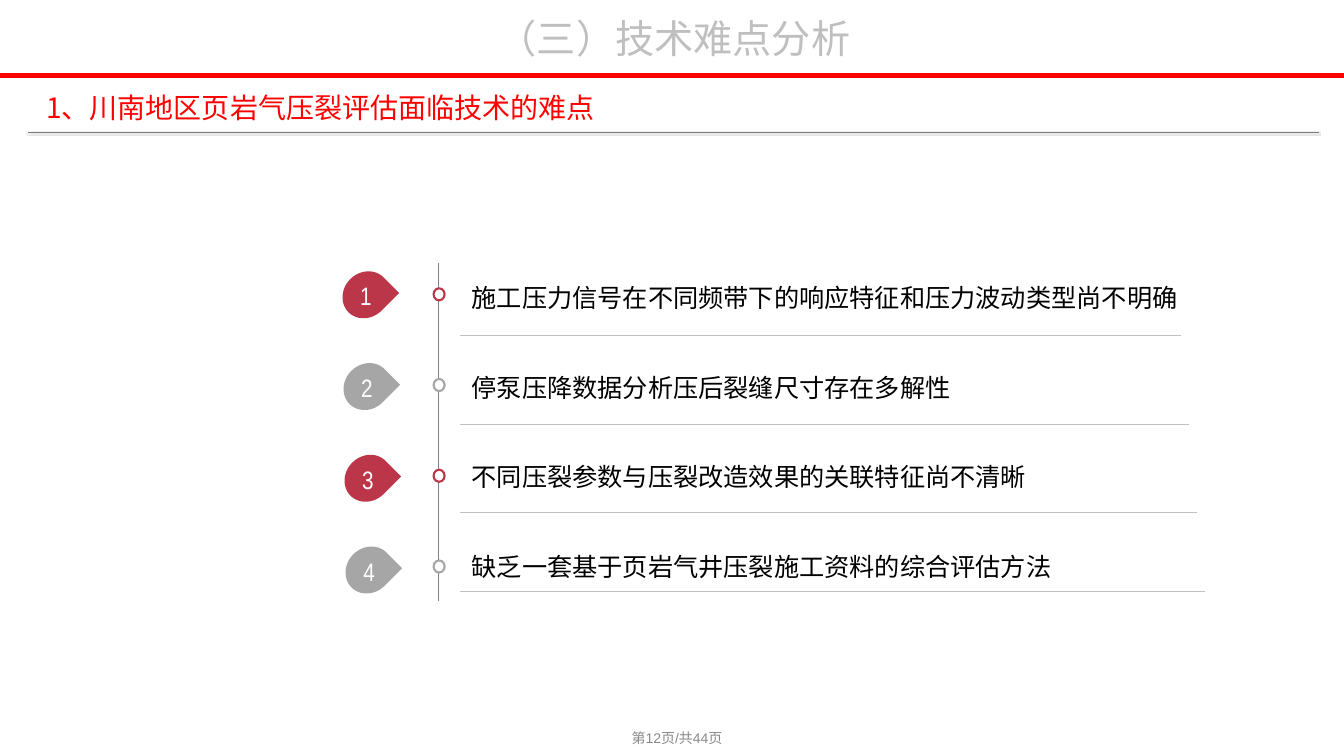
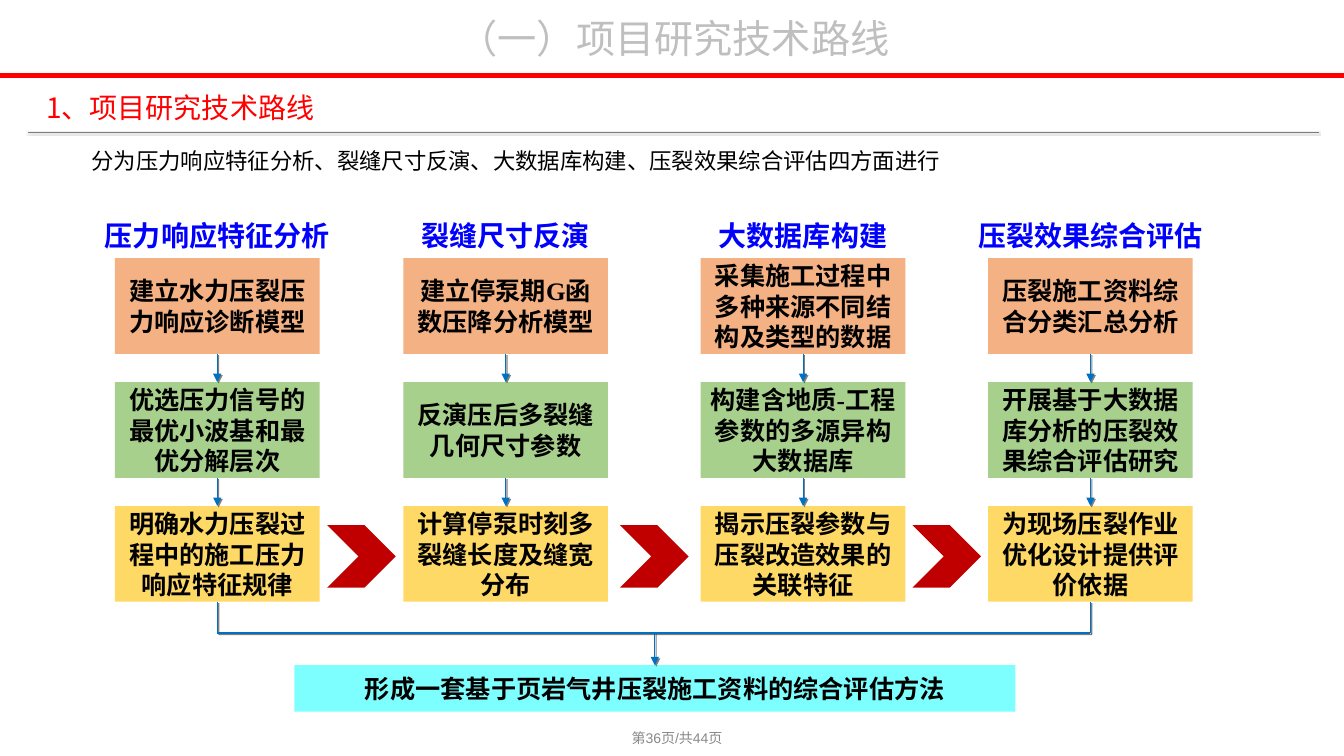
from lxml import etree
from pptx import Presentation
from pptx.dml.color import RGBColor
from pptx.enum.shapes import MSO_CONNECTOR, MSO_SHAPE
from pptx.enum.text import MSO_ANCHOR, MSO_AUTO_SIZE, PP_ALIGN
from pptx.oxml.ns import qn
from pptx.util import Inches, Pt

RECT, OVAL = MSO_SHAPE.RECTANGLE, MSO_SHAPE.OVAL
DROP, CHEVRON = MSO_SHAPE.TEAR, MSO_SHAPE.CHEVRON
TOP, MIDDLE = MSO_ANCHOR.TOP, MSO_ANCHOR.MIDDLE
LEFT, CENTER, JUSTIFY = PP_ALIGN.LEFT, PP_ALIGN.CENTER, PP_ALIGN.JUSTIFY
SIDE_TOP, SIDE_BOTTOM = 0, 2

COLORS = {
    "red": "FF0000", "title": "BFBFBF", "footer": "898989", "rule": "7C7C7C",
    "rule_shadow": "D9D9D9", "axis": "768395", "crimson": "BC3649", "gray": "A6A6A6",
    "white": "FFFFFF", "black": "000000", "heading": "0000FF", "flow": "0070C0",
    "chevron": "C00000", "orange": "F4B183", "green": "A8D08D", "yellow": "FFD965",
    "cyan": "7EFFFF",
}
HAN, SERIF = "Noto Sans CJK SC", "Times New Roman"
WIDTH, HEIGHT = 13.33, 7.5
RULE_SHADOW = ("rule_shadow", 100, 1, 1, 90)
FLOW_SHADOW = ("black", 50, 0, 1.4, 45)


def add_box(slide, at, text="", size=18, font=HAN, color="black", bold=False, align=LEFT,
            anchor=TOP, spacing=None, grow=True, wrap=True, preset=None, fill=None, outline=None):
    """Add a text box, or a preset shape when one is named, with optional text."""
    place = [Inches(length) for length in at]
    if preset is None:
        box = slide.shapes.add_textbox(*place)
    else:
        box = slide.shapes.add_shape(preset, *place)
        box.shadow.inherit = False
        box.fill.solid()
        box.fill.fore_color.rgb = RGBColor.from_string(COLORS[fill])
        if outline:
            box.line.color.rgb = RGBColor.from_string(COLORS[outline])
            box.line.width = Pt(1.5)
        else:
            box.line.fill.background()
    if text:
        frame = box.text_frame
        frame.word_wrap = wrap
        frame.vertical_anchor = anchor
        frame.auto_size = MSO_AUTO_SIZE.SHAPE_TO_FIT_TEXT if grow else MSO_AUTO_SIZE.NONE
        paragraph = frame.paragraphs[0]
        paragraph.alignment = align
        if spacing:
            paragraph.line_spacing = spacing
        run = paragraph.add_run()
        run.text = text
        run.font.name, run.font.size, run.font.bold = font, Pt(size), bold
        run.font.color.rgb = RGBColor.from_string(COLORS[color])
        east_asian = etree.SubElement(run.font._element, qn("a:ea"))
        east_asian.set("typeface", HAN)
    return box


def add_line(slide, start, end, color, width, shadow=None, arrow=False):
    """Shadow is (colour, opacity %, blur pt, distance pt, angle)."""
    line = slide.shapes.add_connector(
        MSO_CONNECTOR.STRAIGHT, *[Inches(length) for length in (*start, *end)])
    line.line.color.rgb = RGBColor.from_string(COLORS[color])
    line.line.width = Pt(width)
    properties = line._element.spPr
    if arrow:
        etree.SubElement(properties.find(qn("a:ln")), qn("a:tailEnd"), type="triangle")
    effects = etree.SubElement(properties, qn("a:effectLst"))
    if shadow:
        tint, opacity, blur, distance, angle = shadow
        outer = etree.SubElement(
            effects, qn("a:outerShdw"), blurRad=str(Pt(blur)), dist=str(Pt(distance)),
            dir=str(angle * 60000), algn="ctr", rotWithShape="0")
        shade = etree.SubElement(outer, qn("a:srgbClr"), val=COLORS[tint])
        etree.SubElement(shade, qn("a:alpha"), val=str(opacity * 1000))
    return line


deck = Presentation()
deck.slide_width, deck.slide_height = Inches(WIDTH), Inches(HEIGHT)
blank = deck.slide_layouts[6]

# Shared frame: title, red band, section heading with rule, page number
pages = []
for title, section, number in [
    ("（三）技术难点分析", "1、川南地区页岩气压裂评估面临技术的难点", 12),
    ("（一）项目研究技术路线", "1、项目研究技术路线", 36),
]:
    page = deck.slides.add_slide(blank)
    add_line(page, (0, 0.75), (WIDTH, 0.75), "red", 3)
    add_box(page, (0.05, 7.15, WIDTH, 0.35), f"第{number}页/共44页", 10, "Arial", "footer",
            align=CENTER, anchor=MIDDLE, grow=False)
    add_line(page, (0.28, 1.31), (13.08, 1.31), "rule", 0.5, RULE_SHADOW)
    add_box(page, (0.02, 0.09, WIDTH, 0.57), title, 28, color="title", align=CENTER)
    add_box(page, (0.36, 0.85, 12.63, 0.44), section, 20, color="red")
    pages.append(page)
difficulties, route = pages

# Numbered difficulties along a vertical axis
AXIS_X = 4.35
add_line(difficulties, (AXIS_X, 2.61), (AXIS_X, 5.96), "axis", 0.75)
for i, (difficulty, rule_y) in enumerate([
    ("施工压力信号在不同频带下的响应特征和压力波动类型尚不明确", 3.33),
    ("停泵压降数据分析压后裂缝尺寸存在多解性", 4.21),
    ("不同压裂参数与压裂改造效果的关联特征尚不清晰", 5.08),
    ("缺乏一套基于页岩气井压裂施工资料的综合评估方法", 5.87),
]):
    accent = ("crimson", "gray")[i % 2]
    drop_x, drop_y = 3.41 + 0.01 * i, 2.68 + 0.91 * i
    add_box(difficulties, (AXIS_X - 0.05, 2.86 + 0.9 * i, 0.11, 0.12),
            preset=OVAL, fill="white", outline=accent)
    drop = add_box(difficulties, (drop_x, drop_y, 0.44, 0.49), preset=DROP, fill=accent)
    drop.rotation = 45
    add_box(difficulties, (drop_x, drop_y - 0.03, 0.44, 0.57), str(i + 1), font="Arial Narrow",
            color="white", align=CENTER, anchor=MIDDLE, grow=False, wrap=False)
    add_box(difficulties, (4.58, 2.7 + 0.89 * i, 8, 0.44), difficulty,
            anchor=MIDDLE, spacing=1.2)
    add_line(difficulties, (4.56, rule_y), (11.71 + 0.08 * i, rule_y), "title", 0.25)

# Research route: four columns of three steps, leading to one conclusion
add_box(route, (0.81, 1.28, 12.97, 0.46),
        "分为压力响应特征分析、裂缝尺寸反演、大数据库构建、压裂效果综合评估四方面进行",
        16, align=JUSTIFY, spacing=1.5)

STEP_W, STEP_H = 2.03, 0.95
ROWS = [(2.56, "orange"), (3.79, "green"), (5.02, "yellow")]
COLUMNS = [
    (1.14, "压力响应特征分析", ["建立水力压裂压力响应诊断模型",
                        "优选压力信号的最优小波基和最优分解层次",
                        "明确水力压裂过程中的施工压力响应特征规律"]),
    (4.0, "裂缝尺寸反演", ["建立停泵期G函数压降分析模型",
                     "反演压后多裂缝几何尺寸参数",
                     "计算停泵时刻多裂缝长度及缝宽分布"]),
    (6.95, "大数据库构建", ["采集施工过程中多种来源不同结构及类型的数据",
                      "构建含地质-工程参数的多源异构大数据库",
                      "揭示压裂参数与压裂改造效果的关联特征"]),
    (9.8, "压裂效果综合评估", ["压裂施工资料综合分类汇总分析",
                       "开展基于大数据库分析的压裂效果综合评估研究",
                       "为现场压裂作业优化设计提供评价依据"]),
]
step_style = dict(font=SERIF, bold=True, align=CENTER, anchor=MIDDLE, grow=False, preset=RECT)
last_steps = []
for x, heading, steps in COLUMNS:
    center = x + STEP_W / 2
    add_box(route, (center - 1.33, 2.12, 2.66, 0.44), heading, 20, SERIF, "heading",
            bold=True, align=CENTER)
    previous = None
    for (y, tint), step_text in zip(ROWS, steps):
        step = add_box(route, (x, y, STEP_W, STEP_H), step_text, fill=tint, **step_style)
        if previous:
            arrow = add_line(route, (center, y - 0.28), (center, y), "flow", 0.75,
                             FLOW_SHADOW, arrow=True)
            arrow.begin_connect(previous, SIDE_BOTTOM)
            arrow.end_connect(step, SIDE_TOP)
        previous = step
    last_steps.append((center, previous))

CHEVRON_W, CHEVRON_H = 0.68, 0.62
for (x, *_), (next_x, *_) in zip(COLUMNS, COLUMNS[1:]):
    gap_center = (x + STEP_W + next_x) / 2
    add_box(route, (gap_center - CHEVRON_W / 2, 5.21, CHEVRON_W, CHEVRON_H),
            preset=CHEVRON, fill="chevron")

BUS_Y, CONCLUSION_Y = 6.28, 6.6
conclusion = add_box(route, (2.92, CONCLUSION_Y, 7.15, 0.46),
                     "形成一套基于页岩气井压裂施工资料的综合评估方法", fill="cyan", **step_style)
first, last = last_steps[0], last_steps[-1]
for center, step in (first, last):
    drop_line = add_line(route, (center, ROWS[-1][0] + STEP_H), (center, BUS_Y),
                         "flow", 1, FLOW_SHADOW)
    drop_line.begin_connect(step, SIDE_BOTTOM)
add_line(route, (first[0], BUS_Y), (last[0], BUS_Y), "flow", 1, FLOW_SHADOW)
conclusion_x = 2.92 + 7.15 / 2
result_arrow = add_line(route, (conclusion_x, BUS_Y), (conclusion_x, CONCLUSION_Y),
                        "flow", 0.75, FLOW_SHADOW, arrow=True)
result_arrow.end_connect(conclusion, SIDE_TOP)

deck.save("out.pptx")
